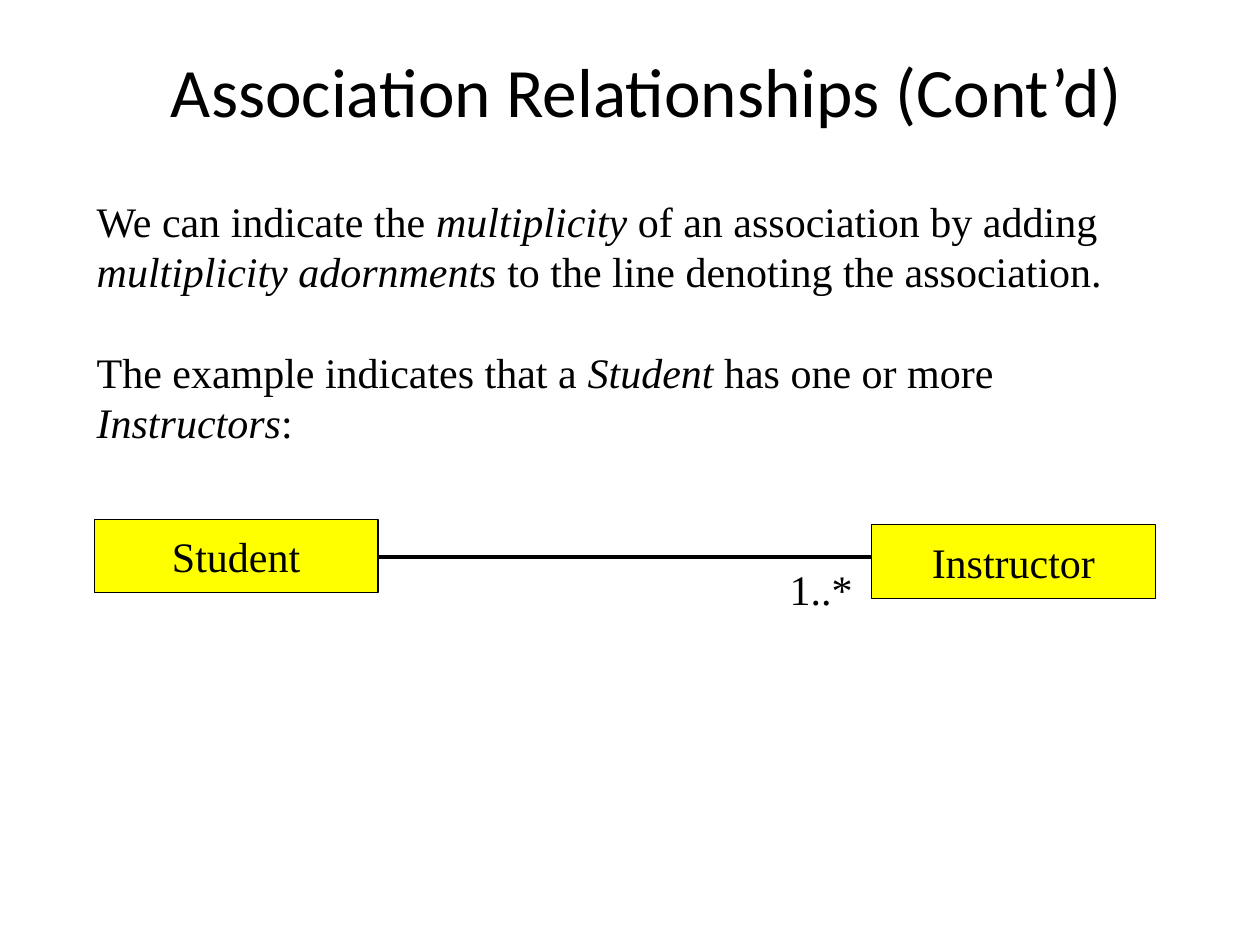
from dataclasses import dataclass

from lxml.etree import SubElement
from pptx import Presentation
from pptx.dml.color import RGBColor
from pptx.enum.shapes import MSO_CONNECTOR, MSO_SHAPE
from pptx.enum.text import MSO_ANCHOR, PP_ALIGN
from pptx.oxml.ns import qn
from pptx.util import Cm, Pt

BLACK = RGBColor(0, 0, 0)
YELLOW = RGBColor(255, 255, 0)
TITLE = {"name": "Calibri", "size": Pt(39.6)}
BODY = {"name": "Times New Roman", "size": Pt(24)}


@dataclass
class Box:
    left: float
    top: float
    width: float
    height: float

    def place(self) -> tuple:
        return Cm(self.left), Cm(self.top), Cm(self.width), Cm(self.height)


@dataclass
class Entity:
    name: str
    box: Box


# Each paragraph is a list of (text, italic) runs
PARAS = [
    [("We can indicate the ", False), ("multiplicity", True),
     (" of an association by adding ", False),
     ("multiplicity adornments", True),
     (" to the line denoting the association.", False)],
    [("The example indicates that a ", False), ("Student", True),
     (" has one or more ", False), ("Instructors", True), (":", False)],
]
ENTITIES = [
    Entity("Instructor", Box(17.57, 10.58, 5.72, 1.48)),
    Entity("Student", Box(1.9, 10.47, 5.72, 1.48)),
]


def add_run(para, text: str, style: dict, italic: bool = False) -> None:
    run = para.add_run()
    run.text = text
    for key, value in {**style, "italic": italic}.items():
        setattr(run.font, key, value)
    run.font.color.rgb = BLACK


def add_text(slide, box: Box, paras: list) -> None:
    frame = slide.shapes.add_textbox(*box.place()).text_frame
    frame.word_wrap = True
    for i, runs in enumerate(paras):
        para = frame.add_paragraph() if i else frame.paragraphs[0]
        if i:
            para.space_before = Pt(28.8)
        for text, italic in runs:
            add_run(para, text, BODY, italic)


def add_entity(slide, item: Entity) -> None:
    shape = slide.shapes.add_shape(MSO_SHAPE.RECTANGLE, *item.box.place())
    shape.shadow.inherit = False
    shape.fill.solid()
    shape.fill.fore_color.rgb = YELLOW
    shape.line.color.rgb = BLACK
    shape.line.width = Pt(0.75)
    shape.text_frame.vertical_anchor = MSO_ANCHOR.MIDDLE
    para = shape.text_frame.paragraphs[0]
    para.alignment = PP_ALIGN.CENTER
    add_run(para, item.name, BODY)


def add_link(slide, start: float, end: float, top: float) -> None:
    line = slide.shapes.add_connector(
        MSO_CONNECTOR.STRAIGHT, Cm(start), Cm(top), Cm(end), Cm(top))
    line.line.color.rgb = BLACK
    line.line.width = Pt(2.25)
    SubElement(line._element.spPr, qn("a:effectLst"))


def main() -> None:
    deck = Presentation()
    deck.slide_width, deck.slide_height = Cm(25.4), Cm(19.05)
    slide = deck.slides.add_slide(deck.slide_layouts[5])

    # Title
    title = slide.shapes.title
    title.left, title.top, title.width, title.height = Box(
        1.7, 1.07, 22.66, 1.47).place()
    title.text_frame.vertical_anchor = MSO_ANCHOR.MIDDLE
    para = title.text_frame.paragraphs[0]
    para.alignment = PP_ALIGN.CENTER
    add_run(para, "Association Relationships (Cont’d)", TITLE)

    # Explanation
    add_text(slide, Box(1.7, 3.81, 22.53, 5.33), PARAS)

    # Association: the line runs behind both entities
    add_link(slide, 7.62, 17.78, 11.23)
    for item in ENTITIES:
        add_entity(slide, item)
    add_text(slide, Box(15.67, 11.23, 1.9, 1.27), [[("1..*", False)]])

    deck.save("out.pptx")


if __name__ == "__main__":
    main()
